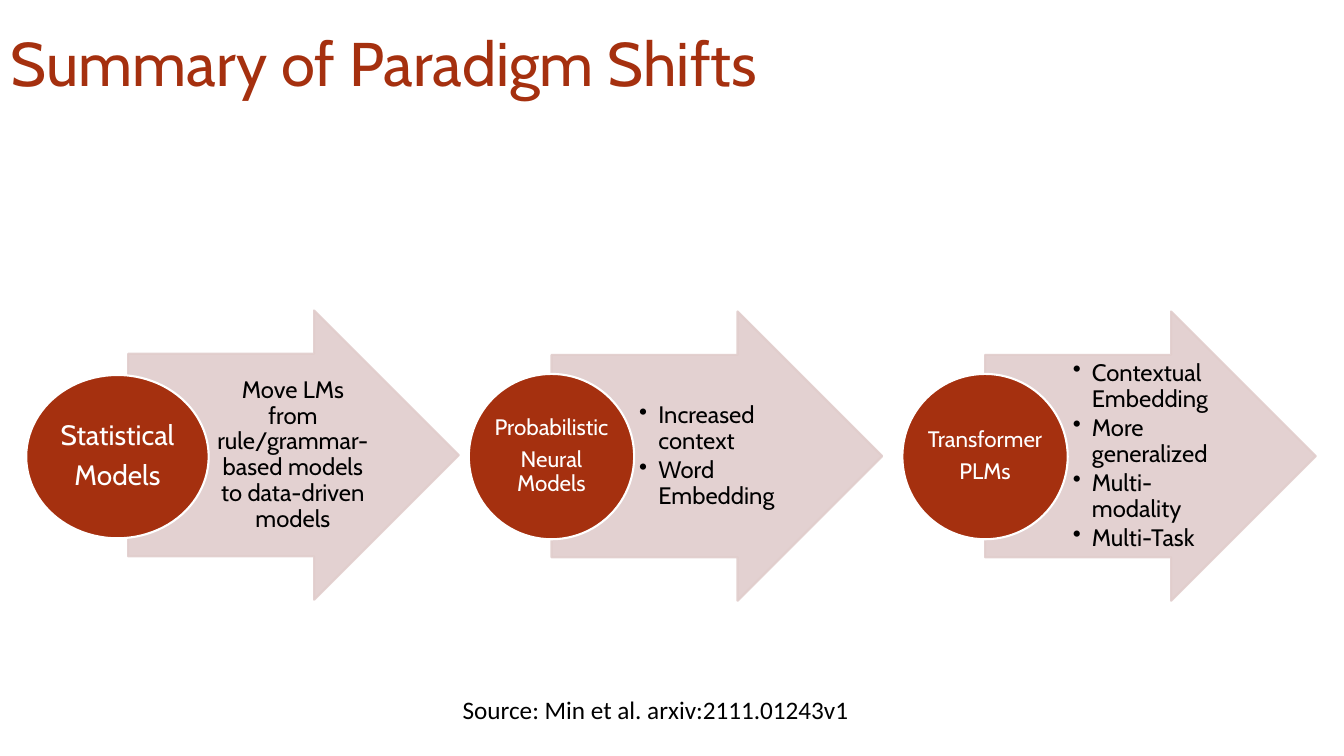
"""Build the slide on paradigm shifts in language models."""
from lxml import etree
from pptx import Presentation
from pptx.dml.color import RGBColor
from pptx.enum.shapes import MSO_SHAPE
from pptx.enum.text import MSO_ANCHOR, PP_ALIGN
from pptx.oxml.ns import qn
from pptx.util import Inches, Pt

ARROW, CIRCLE = MSO_SHAPE.RIGHT_ARROW, MSO_SHAPE.OVAL
MIDDLE, TOP = MSO_ANCHOR.MIDDLE, MSO_ANCHOR.TOP
LEFT, CENTER = PP_ALIGN.LEFT, PP_ALIGN.CENTER

TITLE = "Summary of Paradigm Shifts"
SOURCE = "Source: Min et al. arxiv:2111.01243v1"
STAGES = [
    {"label": ["Statistical", "Models"], "label_size": 20,
     "points": ["Move LMs from rule/grammar-based models to data-driven models"],
     "bulleted": False, "arrow": (1.27, 3.08), "circle": (0.26, 3.72, 1.81, 1.62)},
    {"label": ["Probabilistic", "Neural Models"], "label_size": 16,
     "points": ["Increased context", "Word Embedding"],
     "bulleted": True, "arrow": (5.47, 3.09), "circle": (4.65, 3.71, 1.64, 1.64)},
    {"label": ["Transformer", "PLMs"], "label_size": 16,
     "points": ["Contextual Embedding", "More generalized", "Multi-modality", "Multi-Task"],
     "bulleted": True, "arrow": (9.77, 3.09), "circle": (8.95, 3.71, 1.64, 1.64)},
]

RUST, BLUSH, WHITE, BLACK = "A5300F", "E1CDCC", "FFFFFF", "000000"
ARROW_WIDTH, ARROW_HEIGHT, SHAFT = 3.28, 2.87, 0.7
POINTS_WIDTH, POINTS_SIZE, BULLET_INDENT = 1.6, 17, 0.19
INSCRIBED = 0.146
DEFAULT_INSETS = (0.1, 0.05, 0.1, 0.05)
POINTS_INSETS = (0.05, 0.01, 0.02, 0.01)
LABEL_INSETS = (0.01, 0.01, 0.01, 0.01)


def paint(color_format, color, opacity=100):
    color_format.rgb = RGBColor.from_string(color)


def add_preset(slide, preset, box, fill, line, opacity=100):
    shape = slide.shapes.add_shape(preset, *map(Inches, box))
    shape.shadow.inherit = False
    shape.fill.solid()
    paint(shape.fill.fore_color, fill)
    paint(shape.line.color, line)
    shape.line.width = Pt(1.5)
    if opacity < 100:
        for color in shape.element.spPr.iter(qn("a:srgbClr")):
            etree.SubElement(color, qn("a:alpha"), val=str(opacity * 1000))
    return shape


def add_bullet(paragraph):
    properties = paragraph._p.get_or_add_pPr()
    properties.set("marL", str(Inches(BULLET_INDENT)))
    properties.set("indent", str(-Inches(BULLET_INDENT)))
    etree.SubElement(properties, qn("a:buChar"), char="•")


def add_text(slide, box, lines, size, color, font="Cabin", align=LEFT, anchor=MIDDLE,
             insets=DEFAULT_INSETS, spacing=0.9, after=0, bulleted=False, wrap=True):
    frame = slide.shapes.add_textbox(*map(Inches, box)).text_frame
    frame.word_wrap = wrap
    frame.vertical_anchor = anchor
    (frame.margin_left, frame.margin_top,
     frame.margin_right, frame.margin_bottom) = map(Inches, insets)
    frame.text = "\n".join(lines)
    for paragraph in frame.paragraphs:
        paragraph.alignment = align
        paragraph.line_spacing = spacing
        paragraph.space_after = Pt(size * after)
        if bulleted:
            add_bullet(paragraph)
        for run in paragraph.runs:
            run.font.size = Pt(size)
            run.font.name = font
            paint(run.font.color, color)


def add_stage(slide, stage):
    left, top = stage["arrow"]
    arrow = add_preset(slide, ARROW, (left, top, ARROW_WIDTH, ARROW_HEIGHT),
                       BLUSH, BLUSH, opacity=90)
    arrow.adjustments[0], arrow.adjustments[1] = SHAFT, 0.5
    points_box = (left + ARROW_WIDTH / 4, top + ARROW_HEIGHT * (1 - SHAFT) / 2,
                  POINTS_WIDTH, ARROW_HEIGHT * SHAFT)
    bulleted = stage["bulleted"]
    add_text(slide, points_box, stage["points"], POINTS_SIZE, BLACK,
             align=LEFT if bulleted else CENTER, insets=POINTS_INSETS,
             after=0.15 if bulleted else 0.35, bulleted=bulleted)

    add_preset(slide, CIRCLE, stage["circle"], RUST, WHITE)
    x, y, width, height = stage["circle"]
    label_box = (x + width * INSCRIBED, y + height * INSCRIBED,
                 width * (1 - 2 * INSCRIBED), height * (1 - 2 * INSCRIBED))
    add_text(slide, label_box, stage["label"], stage["label_size"], WHITE,
             align=CENTER, insets=LABEL_INSETS, after=0.35)


def main():
    deck = Presentation()
    deck.slide_width, deck.slide_height = Inches(13.33), Inches(7.5)
    slide = deck.slides.add_slide(deck.slide_layouts[6])
    add_text(slide, (0.01, 0.01, 13.32, 1.3), [TITLE], 44, RUST)
    for stage in STAGES:
        add_stage(slide, stage)
    add_text(slide, (4.49, 6.84, 4.07, 0.4), [SOURCE], 18, BLACK, font="Calibri",
             anchor=TOP, spacing=1.0, wrap=False)
    deck.save("out.pptx")


if __name__ == "__main__":
    main()
